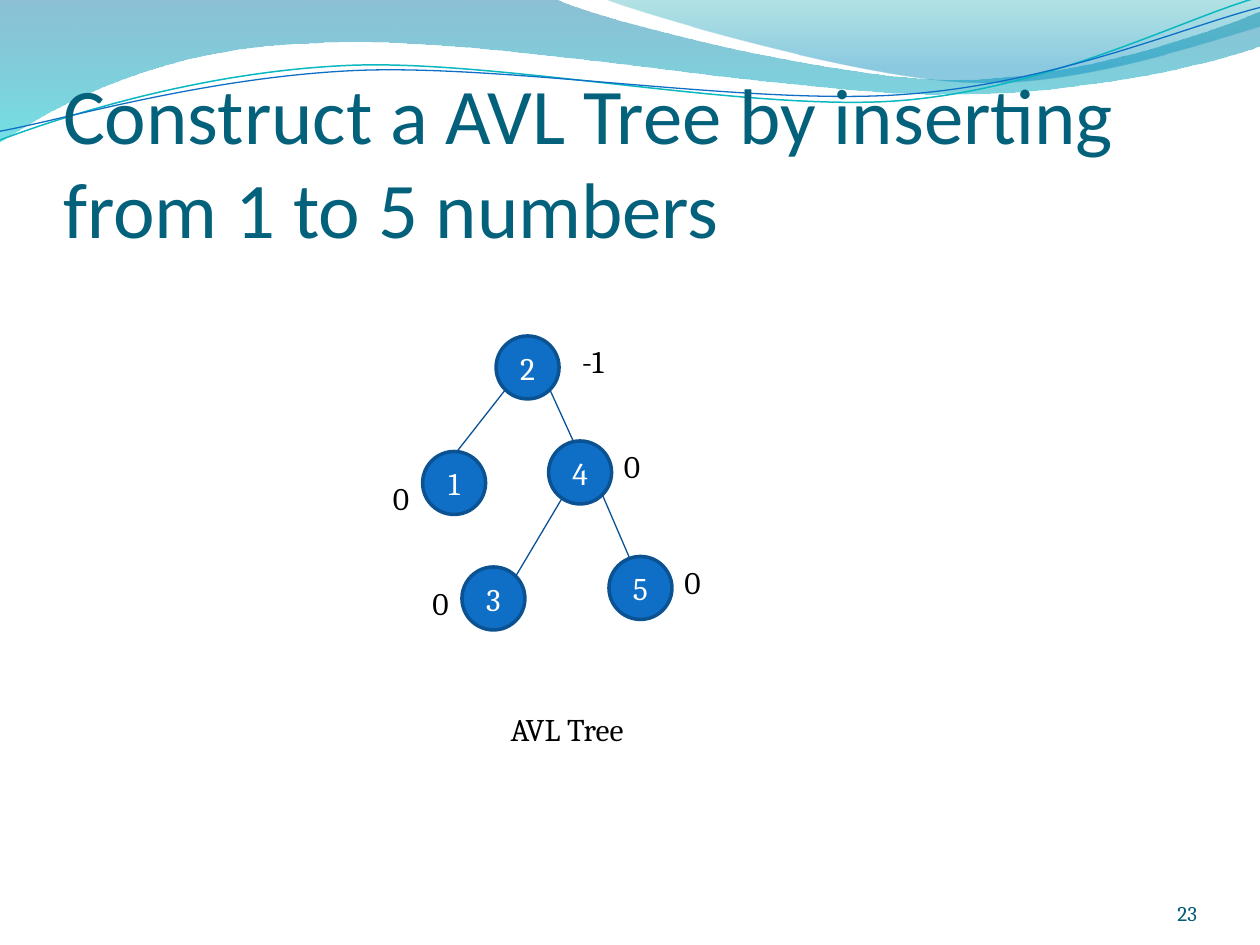
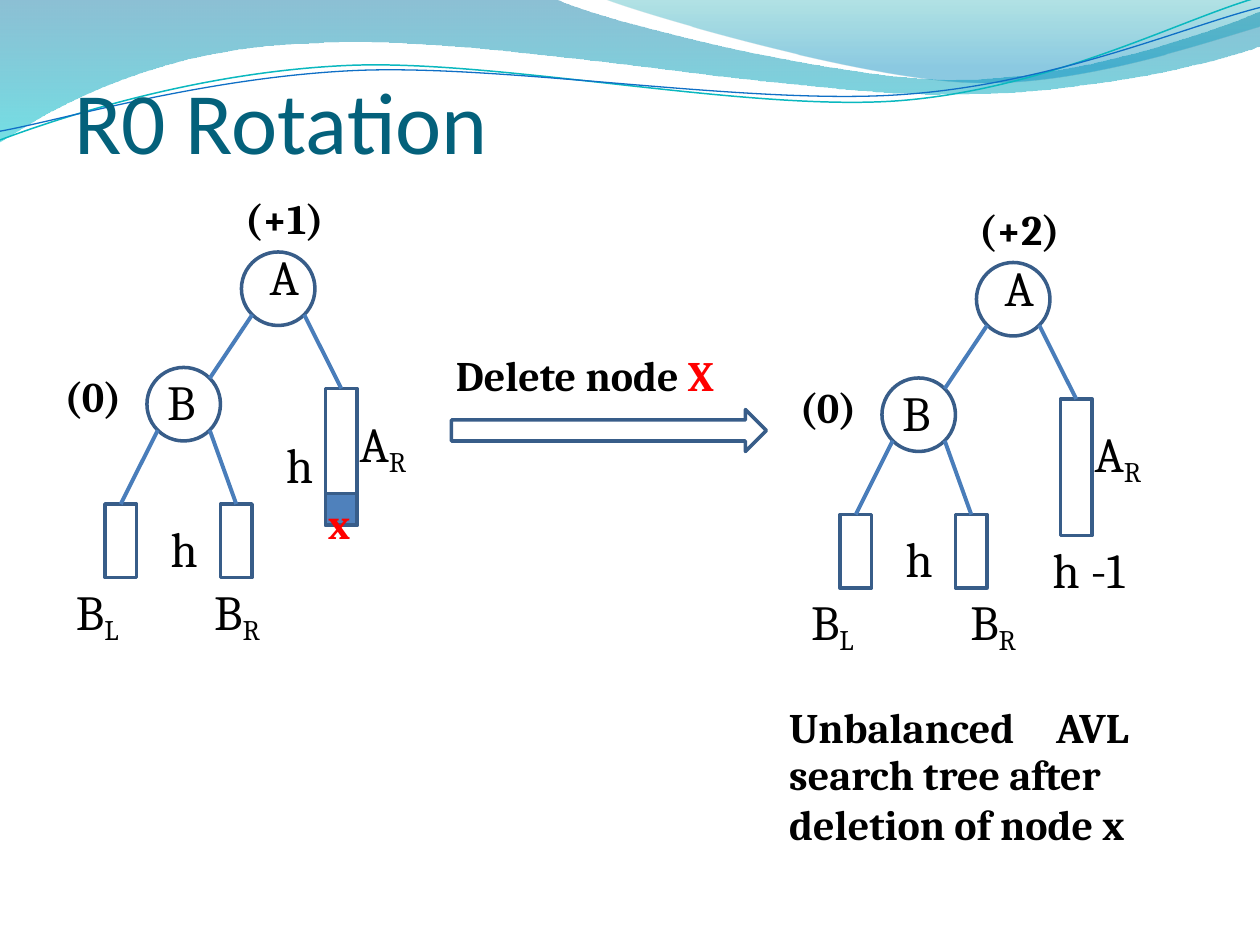
import math
import pptx
import pptx.util
import pptx.dml.color
import pptx.enum.shapes
import pptx.enum.text
import pptx.oxml
import pptx.oxml.ns

Pt = pptx.util.Pt
KIND = pptx.enum.shapes.MSO_SHAPE
LINK = pptx.enum.shapes.MSO_CONNECTOR.STRAIGHT
ALIGN = pptx.enum.text.PP_ALIGN
ANCHOR = pptx.enum.text.MSO_ANCHOR
SPACE = pptx.oxml.ns.nsdecls("a")

INK, WHITE, RED = "000000", "FFFFFF", "FF0000"
TITLE, PAGE = "04617B", "045D75"
NODE, RIM, EDGE = "0F6FC6", "0B5292", "095295"
BLUE, FRAME, BRANCH = "4F81BC", "385D89", "497DBA"

BANDS = [
    ([(0, 0), (317, -0.7), (343, 12, 478, 45.4, 546, 45.4),
      (614, 45.4, 690, 19, 720, 6.5), (720.7, 26),
      (708, 32, 626, 54.7, 537, 54), (448, 54, 275, 20, 185, 24.5),
      (92, 26, 33, 60, -0.7, 81.4)],
     [(0, "0074A1", 45), (100, "00C6CF", 55)]),
    ([(345, -0.7), (366.5, 8, 491, 44.6, 554, 46.8),
      (616, 49.7, 692, 23, 720, 15), (720, 0)],
     [(0, "00A1A9", 30), (80, "008BBF", 45)]),
]
WAVES = [
    ([(0, 80), (34.6, 67, 113.8, 41, 199.4, 37.4),
      (284.4, 33.8, 427, 64, 513.4, 57.6),
      (599.8, 51, 675.4, 10.8, 718.6, -1.4)], "0AB8BF", 0.85),
    ([(0, 75), (33.8, 69, 118, 44, 203.8, 40.3),
      (290, 36.7, 429.8, 60.5, 516.2, 54),
      (602, 48, 677.5, 15, 720, 4.3)], "0F6FC6", 0.75),
]


def hue(code):
    return pptx.dml.color.RGBColor.from_string(code)


def paint(shape, fill=None, line=None, width=2):
    shape.shadow.inherit = False
    if fill:
        shape.fill.solid()
        shape.fill.fore_color.rgb = hue(fill)
    else:
        shape.fill.background()
    if line:
        shape.line.color.rgb = hue(line)
        shape.line.width = Pt(width)
    else:
        shape.line.fill.background()
    return shape


def write(frame, *lines, size=18, color=INK, bold=False, font="Cambria",
          align=ALIGN.LEFT, anchor=ANCHOR.TOP, tabs=(), before=0, indent=0):
    frame.word_wrap = True
    frame.auto_size = pptx.enum.text.MSO_AUTO_SIZE.NONE
    frame.vertical_anchor = anchor
    frame.margin_left = frame.margin_right = 0
    frame.margin_top = frame.margin_bottom = 0
    for i, line in enumerate(lines):
        para = frame.add_paragraph() if i else frame.paragraphs[0]
        para.alignment = align
        if i < len(tabs):
            para._p.get_or_add_pPr().append(pptx.oxml.parse_xml(
                f'<a:tabLst {SPACE}><a:tab pos="{Pt(tabs[i])}" algn="l"/></a:tabLst>'))
        if i:
            para.space_before = Pt(before)
        elif indent:
            para._p.get_or_add_pPr().set("marL", str(Pt(indent)))
        for part in [line] if isinstance(line, str) else line:
            words, look = (part, {}) if isinstance(part, str) else part
            run = para.add_run()
            run.text = words
            run.font.name = font
            run.font.size = Pt(look.get("size", size))
            run.font.bold = look.get("bold", bold)
            run.font.color.rgb = hue(look.get("color", color))
            if look.get("low"):
                run._r.get_or_add_rPr().set("baseline", "-21000")


def label(slide, left, top, width, height, *lines, **style):
    box = slide.shapes.add_textbox(Pt(left), Pt(top), Pt(width), Pt(height))
    write(box.text_frame, *lines, **style)


def block(slide, kind, left, top, width, height, fill=None, line=FRAME):
    shape = slide.shapes.add_shape(kind, Pt(left), Pt(top), Pt(width), Pt(height))
    return paint(shape, fill, line)


def rim(shape, angle):
    turn, half = math.radians(angle), shape.width / 2
    return (round(shape.left + half * (1 + math.cos(turn))),
            round(shape.top + half * (1 + math.sin(turn))))


def join(slide, start, end, color, width):
    line = slide.shapes.add_connector(LINK, *start, *end)
    line.line.color.rgb = hue(color)
    line.line.width = Pt(width)
    line.element.spPr.append(pptx.oxml.parse_xml(f"<a:effectLst {SPACE}/>"))
    return line


def sketch(slide, steps, close):
    first, *rest = [(Pt(step[-2]), Pt(step[-1])) for step in steps]
    pen = slide.shapes.build_freeform(*first, scale=1.0)
    pen.add_line_segments(rest, close=close)
    shape = pen.convert_to_shape()
    pieces = shape.element.findall(".//" + pptx.oxml.ns.qn("a:lnTo"))
    for step, piece in zip(steps[1:], pieces):
        if len(step) == 6:
            marks = "".join(
                f'<a:pt x="{Pt(x) - shape.left}" y="{Pt(y) - shape.top}"/>'
                for x, y in zip(step[::2], step[1::2]))
            piece.getparent().replace(piece, pptx.oxml.parse_xml(
                f"<a:cubicBezTo {SPACE}>{marks}</a:cubicBezTo>"))
    return paint(shape)


def blend(shape, stops):
    marks = "".join(
        f'<a:gs pos="{at * 1000}"><a:srgbClr val="{code}">'
        f'<a:alpha val="{alpha * 1000}"/></a:srgbClr></a:gs>'
        for at, code, alpha in stops)
    props = shape.element.spPr
    old = props.find(pptx.oxml.ns.qn("a:noFill"))
    props.replace(old, pptx.oxml.parse_xml(
        f'<a:gradFill {SPACE} rotWithShape="1"><a:gsLst>{marks}</a:gsLst>'
        '<a:lin ang="5400000" scaled="0"/></a:gradFill>'))
    return shape


def header(slide, layout):
    shapes = [blend(sketch(slide, steps, True), stops) for steps, stops in BANDS]
    shapes += [paint(sketch(slide, steps, False), line=color, width=width)
               for steps, color, width in WAVES]
    for i, shape in enumerate(shapes):
        shape.element.nvSpPr.cNvPr.set("id", str(20 + i))
        layout.shapes.element.insert(2 + i, shape.element)


def head(slide, text, left, top, width, height, size):
    title = slide.shapes.title
    title.left, title.top = Pt(left), Pt(top)
    title.width, title.height = Pt(width), Pt(height)
    write(title.text_frame, text, size=size, color=TITLE, font="Calibri",
          anchor=ANCHOR.BOTTOM)


def number(slide, left, top):
    label(slide, left, top, 60, 28.8, "23", size=12, color=PAGE,
          align=ALIGN.RIGHT, anchor=ANCHOR.BOTTOM)


def built(slide, left, top):
    spots = {"2": (59.5, 0, "-1", 49, 3.5), "1": (17.5, 66, "0", -17, 16),
             "4": (89.5, 60, "0", 43, 3.5), "3": (40, 132, "0", -17, 9.5),
             "5": (124, 126, "0", 43, 4)}
    edges = [("2", "1", 135, -85), ("2", "4", 45, -102),
             ("4", "3", 125, -45), ("4", "5", 45, -110)]
    nodes = {}
    for key, (x, y, factor, dx, dy) in spots.items():
        nodes[key] = block(slide, KIND.FLOWCHART_CONNECTOR, left + x, top + y,
                           36, 36, NODE, RIM)
        write(nodes[key].text_frame, key, color=WHITE,
              align=ALIGN.CENTER, anchor=ANCHOR.MIDDLE)
        label(slide, left + x + dx, top + y + dy, 24, 25, factor)
    for parent, child, out, into in edges:
        join(slide, rim(nodes[parent], out), rim(nodes[child], into), EDGE, 0.75)
    label(slide, left + 16, top + 214, 168, 25, "AVL Tree", align=ALIGN.CENTER)


def low(base, mark):
    return [base, (mark, {"low": True})]


def turned(slide, left, top, factor):
    root, child = [block(slide, KIND.FLOWCHART_CONNECTOR, left + x, top + y, 42, 42)
                   for x, y in [(102, 41), (48, 107)]]
    join(slide, rim(root, 135), rim(child, -45), BRANCH, 2.25)
    for node, angle, x, y, height in [(root, 45, 150, 119, 78),
                                      (child, 135, 24, 185, 42),
                                      (child, 45, 90, 185, 42)]:
        bar = block(slide, KIND.RECTANGLE, left + x, top + y, 18, height)
        start = rim(node, angle)
        join(slide, start, start, BRANCH, 2.25).end_connect(bar, 0)
    label(slide, left + 102, top + 7.2, 49, 72, factor,
          [("A", {"size": 28, "bold": False})],
          size=24, bold=True, align=ALIGN.CENTER, before=2)
    label(slide, left + 1, top + 109, 40, 31, "(0)", size=24, bold=True)
    for text, x, y, width in [("B", 59.5, 109.5, 24), ("h", 61.5, 193, 22),
                              (low("A", "R"), 169.5, 133, 40)]:
        label(slide, left + x, top + y, width, 35, text, size=28)


def before(slide, left, top):
    turned(slide, left, top, "(+1)")
    block(slide, KIND.RECTANGLE, left + 150, top + 179, 18, 18, BLUE)
    label(slide, left + 7.4, top + 229, 112, 35, low("B", "L\t") + low("B", "R"),
          size=28, tabs=[79])
    label(slide, left + 127.5, top + 145.2, 22, 35, "h", size=28)
    label(slide, left + 151.5, top + 181.4, 20, 31, "x",
          size=24, color=RED, bold=True)


def after(slide, left, top):
    turned(slide, left, top, "(+2)")
    label(slide, left + 145.5, top + 199, 54, 35, "h -1", size=28)
    label(slide, left - 5, top + 229, 200, 91,
          [(words, {"size": 28, "bold": False, "low": sunk}) for words, sunk in
           [("B", False), ("L\t", True), ("B", False), ("R", True)]],
          "Unbalanced\tAVL", size=24, bold=True, tabs=[91, 152.5],
          before=26, indent=12.5)
    label(slide, left - 5, top + 318.5, 240, 59,
          "search tree after deletion of node x", size=24, bold=True)


def action(slide, left, top):
    label(slide, left + 2.5, top, 178, 31, ["Delete node ", ("X", {"color": RED})],
          size=24, bold=True)
    block(slide, KIND.RIGHT_ARROW, left, top + 34, 180, 24)


def main():
    deck = pptx.Presentation()
    deck.slide_width, deck.slide_height = Pt(720), Pt(540)
    layout = deck.slide_layouts[5]

    slide = deck.slides.add_slide(layout)
    header(slide, layout)
    head(slide, "Construct a AVL Tree by inserting from 1 to 5 numbers",
         36, 55.4, 648, 90, 45)
    built(slide, 224, 192)
    number(slide, 624, 500.4)

    slide = deck.slides.add_slide(layout)
    head(slide, "R0 Rotation", 42.5, 36.2, 654, 62, 50)
    before(slide, 36, 103)
    action(slide, 258, 200)
    after(slide, 456, 109)

    deck.save("out.pptx")


if __name__ == "__main__":
    main()
